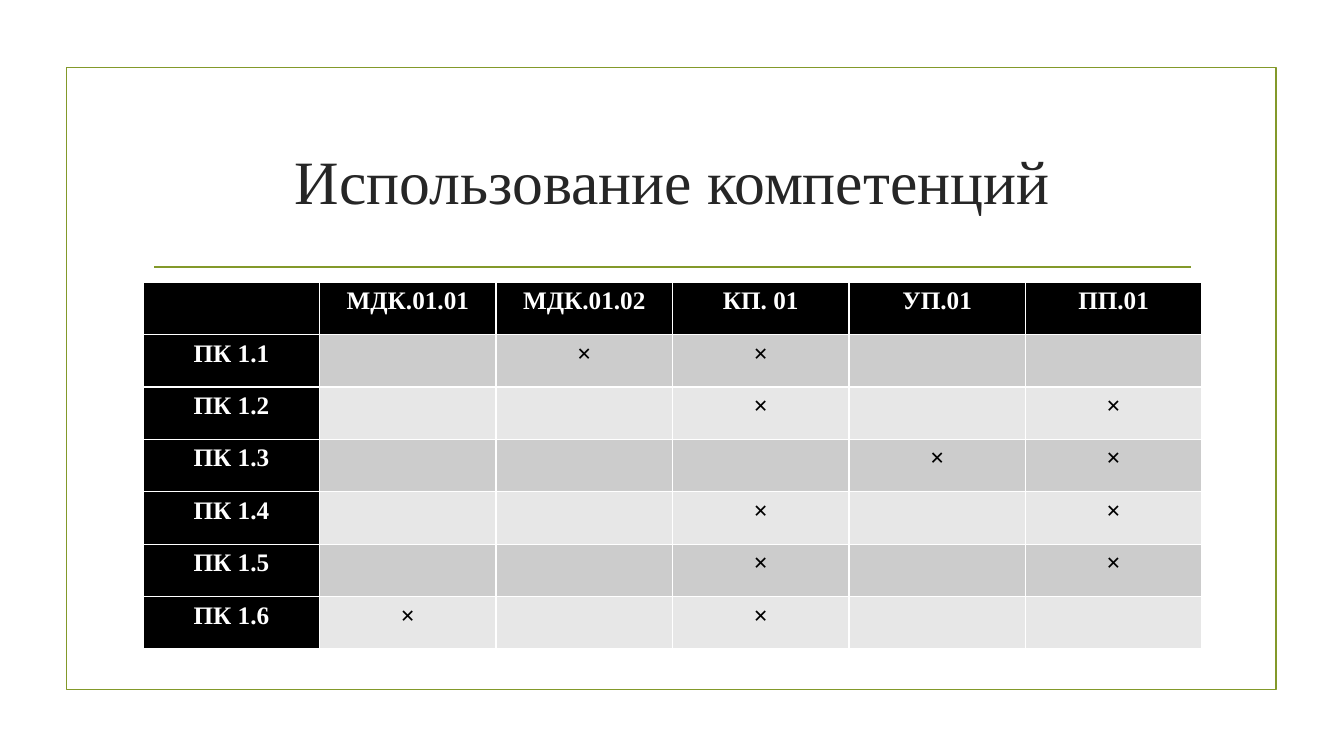
from lxml.etree import SubElement
from pptx import Presentation
from pptx.dml.color import RGBColor
from pptx.enum.shapes import MSO_CONNECTOR, MSO_SHAPE
from pptx.enum.text import MSO_ANCHOR, PP_ALIGN
from pptx.oxml.ns import qn
from pptx.util import Pt

PX = 9144
FONT = "Times New Roman"
COLORS = {
    "olive": "83992A",
    "title": "262626",
    "black": "000000",
    "white": "FFFFFF",
    "dark_band": "CCCCCC",
    "light_band": "E7E7E7",
}
HEADERS = ["", "МДК.01.01", "МДК.01.02", "КП. 01", "УП.01", "ПП.01"]
MARKS = {
    "ПК 1.1": [2, 3],
    "ПК 1.2": [3, 5],
    "ПК 1.3": [4, 5],
    "ПК 1.4": [3, 5],
    "ПК 1.5": [3, 5],
    "ПК 1.6": [1, 3],
}
COL_W, ROW_H = 175, 52


def rgb(name):
    return RGBColor.from_string(COLORS[name])


def write(tf, text, size, color, bold=False):
    tf.text = text
    p = tf.paragraphs[0]
    p.alignment = PP_ALIGN.CENTER
    for r in p.runs:
        r.font.name = FONT
        r.font.size = Pt(size)
        r.font.bold = bold
        r.font.color.rgb = rgb(color)


prs = Presentation()
prs.slide_width, prs.slide_height = 1333 * PX, 750 * PX
s = prs.slides.add_slide(prs.slide_layouts[5])

frame = s.shapes.add_shape(MSO_SHAPE.RECTANGLE, 66 * PX, 67 * PX, 1200 * PX, 617 * PX)
frame.shadow.inherit = False
frame.fill.background()

rule = s.shapes.add_connector(MSO_CONNECTOR.STRAIGHT, 153 * PX, 265 * PX, 1181 * PX, 265 * PX)
SubElement(rule._element.spPr, qn("a:effectLst"))

for sp in (frame, rule):
    sp.line.color.rgb = rgb("olive")
    sp.line.width = Pt(1.25)

title = s.shapes.title
title.left, title.top, title.width, title.height = 142 * PX, 107 * PX, 1050 * PX, 143 * PX
title.text_frame.vertical_anchor = MSO_ANCHOR.MIDDLE
write(title.text_frame, "Использование компетенций", 44, "title")

rows = [HEADERS]
for code, marked in MARKS.items():
    rows.append([code] + ["×" if c in marked else "" for c in range(1, len(HEADERS))])

table = s.shapes.add_table(
    len(rows), len(HEADERS), 142 * PX, 280 * PX, COL_W * len(HEADERS) * PX, ROW_H * len(rows) * PX
).table
table.first_col = True
for col in table.columns:
    col.width = COL_W * PX

for i, row in enumerate(rows):
    table.rows[i].height = ROW_H * PX
    for j, text in enumerate(row):
        cell = table.cell(i, j)
        heading = i == 0 or j == 0
        band = "dark_band" if i % 2 else "light_band"
        cell.fill.solid()
        cell.fill.fore_color.rgb = rgb("black" if heading else band)
        write(cell.text_frame, text, 18, "white" if heading else "black", True)

prs.save("out.pptx")
